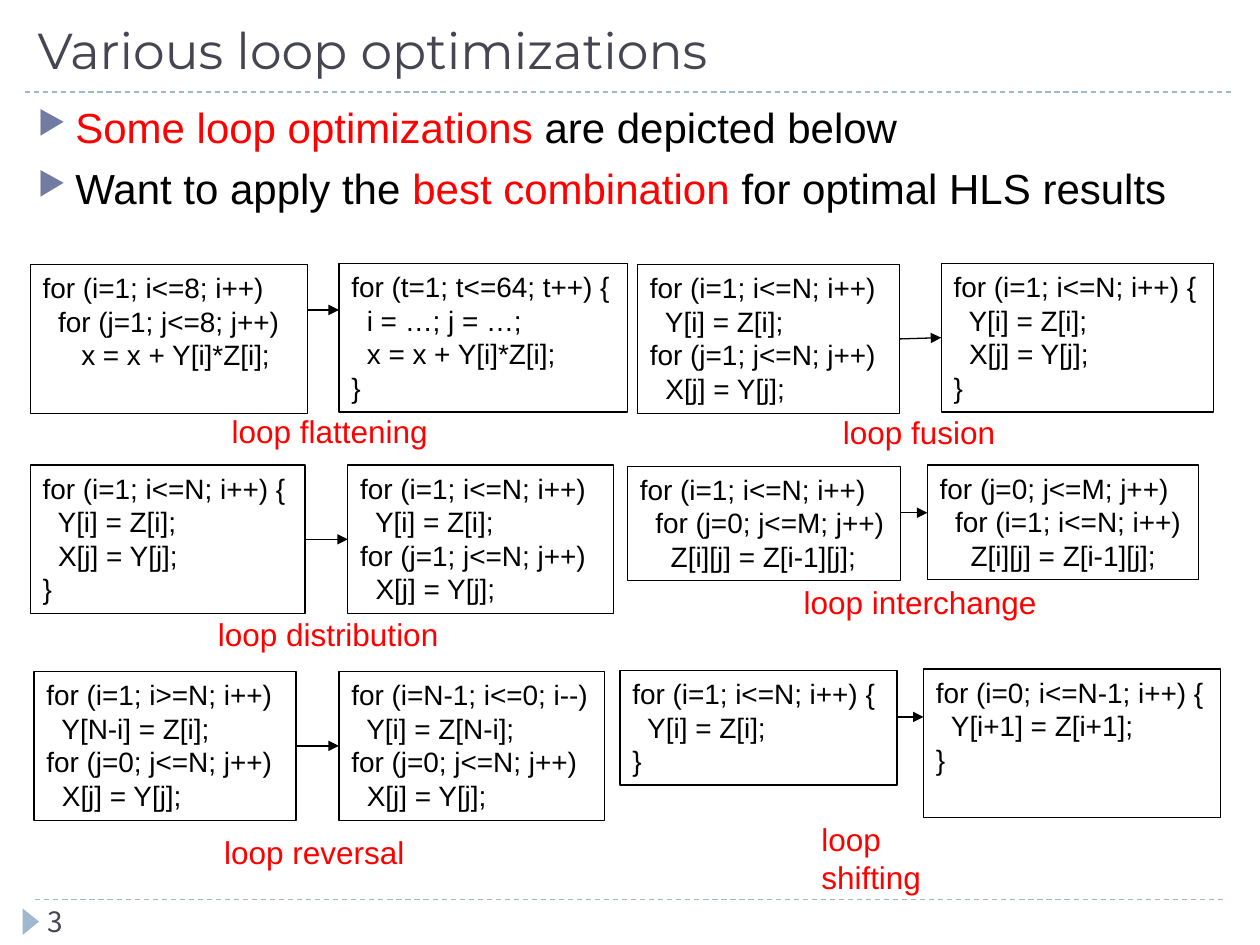
from lxml.etree import SubElement
from pptx import Presentation
from pptx.dml.color import RGBColor
from pptx.enum.dml import MSO_LINE
from pptx.enum.shapes import MSO_CONNECTOR as CONNECTOR, MSO_SHAPE as SHAPE
from pptx.enum.text import MSO_ANCHOR as ANCHOR, PP_ALIGN as ALIGN
from pptx.oxml.ns import qn
from pptx.util import Pt

PX = 9144
BLACK = RGBColor(0x00, 0x00, 0x00)
WHITE = RGBColor(0xFF, 0xFF, 0xFF)
RED = RGBColor(0xFF, 0x00, 0x00)
SLATE = RGBColor(0x46, 0x46, 0x53)
PALE_BLUE = RGBColor(0x9F, 0xB8, 0xCD)

presentation = Presentation()
presentation.slide_width = 1000 * PX
presentation.slide_height = 750 * PX
slide = presentation.slides.add_slide(presentation.slide_layouts[6])
shapes = slide.shapes


def add_run(paragraph, text, size, color, font="Arial"):
    run = paragraph.add_run()
    run.text = text
    run.font.size = Pt(size)
    run.font.name = font
    run.font.color.rgb = color


def add_line(x1, y1, x2, y2, color):
    line = shapes.add_connector(CONNECTOR.STRAIGHT, x1 * PX, y1 * PX, x2 * PX, y2 * PX)
    line.line.color.rgb = color
    line.line.width = Pt(0.75)
    SubElement(line._element.spPr, qn("a:effectLst"))
    return line


for x1, x2, y in [(28, 972, 714), (20, 980, 73)]:
    add_line(x1, y, x2, y, PALE_BLUE).line.dash_style = MSO_LINE.DASH

marker = shapes.add_shape(SHAPE.ISOSCELES_TRIANGLE, 14 * PX, 725 * PX, 21 * PX, 13 * PX)
marker.rotation = 90
marker.shadow.inherit = False
marker.fill.solid()
marker.fill.fore_color.rgb = PALE_BLUE
marker.line.fill.background()

title = shapes.add_textbox(20 * PX, 5 * PX, 961 * PX, 63 * PX).text_frame
title.word_wrap = True
title.vertical_anchor = ANCHOR.BOTTOM
add_run(title.paragraphs[0], "Various loop optimizations", 28.8, SLATE, "Montserrat")

number = shapes.add_textbox(28 * PX, 713 * PX, 217 * PX, 31 * PX).text_frame
number.word_wrap = True
add_run(number.paragraphs[0], "3", 16, SLATE, "Noto Sans CJK JP")

bullets = [
    [("Some loop optimizations ", RED), ("are depicted below", BLACK)],
    [("Want to apply the ", BLACK), ("best combination ", RED),
     ("for optimal HLS results", BLACK)],
]
body = shapes.add_textbox(20 * PX, 76 * PX, 976 * PX, 630 * PX).text_frame
body.word_wrap = True
for index, parts in enumerate(bullets):
    paragraph = body.add_paragraph() if index else body.paragraphs[0]
    paragraph.space_before = Pt(6)
    properties = paragraph._p.get_or_add_pPr()
    properties.set("marL", str(30 * PX))
    properties.set("indent", str(-30 * PX))
    bullet_color = SubElement(properties, qn("a:buClr"))
    SubElement(bullet_color, qn("a:srgbClr"), val="727CA3")
    SubElement(properties, qn("a:buSzPct"), val="76000")
    SubElement(properties, qn("a:buChar"), char="▶")
    for text, color in parts:
        add_run(paragraph, text, 24, color)

fused = ["for (i=1; i<=N; i++) {", "  Y[i] = Z[i];", "  X[j] = Y[j];", "}"]
split = ["for (i=1; i<=N; i++)", "  Y[i] = Z[i];", "for (j=1; j<=N; j++)", "  X[j] = Y[j];"]
flattening = (
    ["for (i=1; i<=8; i++)", "  for (j=1; j<=8; j++)", "     x = x + Y[i]*Z[i];"],
    ["for (t=1; t<=64; t++) {", "  i = …; j = …;", "  x = x + Y[i]*Z[i];", "}"],
)
interchange = (
    ["for (i=1; i<=N; i++)", "  for (j=0; j<=M; j++)", "    Z[i][j] = Z[i-1][j];"],
    ["for (j=0; j<=M; j++)", "  for (i=1; i<=N; i++)", "    Z[i][j] = Z[i-1][j];"],
)
reversal = (
    ["for (i=1; i>=N; i++)", "  Y[N-i] = Z[i];", "for (j=0; j<=N; j++)", "  X[j] = Y[j];"],
    ["for (i=N-1; i<=0; i--)", "  Y[i] = Z[N-i];", "for (j=0; j<=N; j++)", "  X[j] = Y[j];"],
)
shifting = (
    ["for (i=1; i<=N; i++) {", "  Y[i] = Z[i];", "}"],
    ["for (i=0; i<=N-1; i++) {", "  Y[i+1] = Z[i+1];", "}"],
)

TALL, SHORT = 118, 91
optimizations = [
    ("loop fusion", (659, 323, 141), (split, fused),
     (506, 210, 208, TALL), (747, 209, 216, TALL), None),
    ("loop distribution", (163, 483, 195), (fused, split),
     (24, 369, 218, TALL), (276, 369, 211, TALL), None),
    ("loop reversal", (168, 656, 163), reversal,
     (27, 533, 208, TALL), (269, 533, 211, TALL), None),
    ("loop flattening", (174, 322, 177), flattening,
     (24, 210, 220, TALL), (269, 209, 229, TALL), 246),
    ("loop interchange", (628, 458, 205), interchange,
     (498, 370, 217, SHORT), (736, 369, 215, SHORT), 407),
    ("loop shifting", (642, 646, 153), shifting,
     (492, 532, 220, SHORT), (733, 531, 236, TALL), 569),
]

for name, (label_x, label_y, label_width), codes, before, after, arrow_y in optimizations:
    boxes = []
    for code, (x, y, width, height) in zip(codes, (before, after)):
        box = shapes.add_shape(SHAPE.RECTANGLE, x * PX, y * PX, width * PX, height * PX)
        box.shadow.inherit = False
        if code is shifting[1]:
            box.fill.solid()
            box.fill.fore_color.rgb = WHITE
        else:
            box.fill.background()
        box.line.color.rgb = BLACK
        box.line.width = Pt(0.75)
        frame = box.text_frame
        frame.word_wrap = True
        frame.vertical_anchor = ANCHOR.TOP
        for index, text in enumerate(code):
            paragraph = frame.add_paragraph() if index else frame.paragraphs[0]
            paragraph.alignment = ALIGN.LEFT
            add_run(paragraph, text, 16, BLACK)
        boxes.append(box)

    y = arrow_y or before[1] + before[3] // 2
    arrow = add_line(before[0] + before[2], y, after[0], y, BLACK)
    if arrow_y is None:
        arrow.begin_connect(boxes[0], 3)
        arrow.end_connect(boxes[1], 1)
    SubElement(arrow.line._get_or_add_ln(), qn("a:tailEnd"), type="triangle")

    label = shapes.add_textbox(label_x * PX, label_y * PX, label_width * PX, 40 * PX).text_frame
    label.word_wrap = False
    add_run(label.paragraphs[0], name, 18, RED)

presentation.save("out.pptx")
